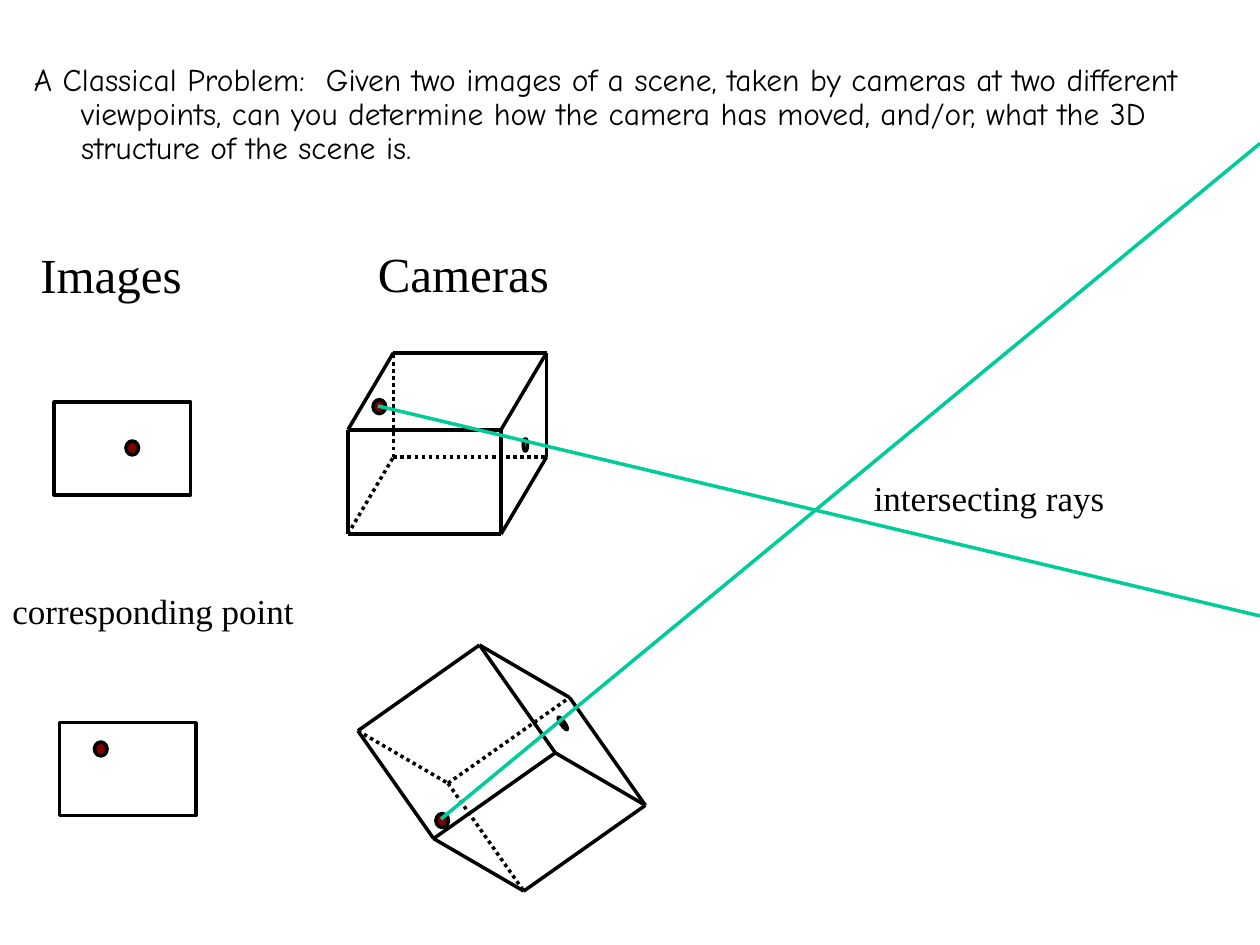
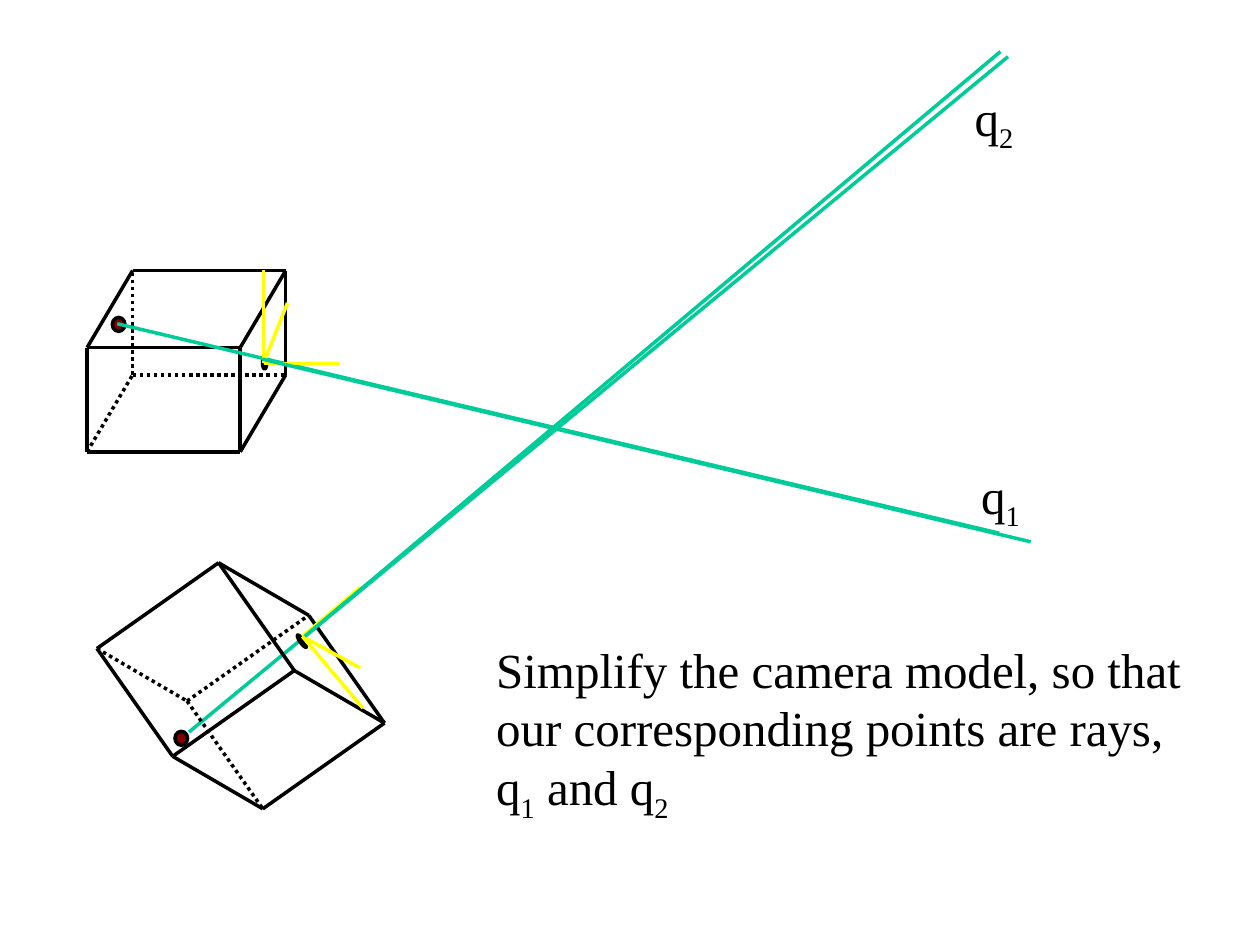
import dataclasses

import pptx
import pptx.dml.color
import pptx.enum.dml
import pptx.enum.shapes
import pptx.enum.text
import pptx.oxml.ns
import pptx.util
from lxml import etree

Pt = pptx.util.Pt
Shape = pptx.enum.shapes.MSO_SHAPE


@dataclasses.dataclass(frozen=True)
class Theme:
    ink: str = "000000"
    paper: str = "FFFFFF"
    point: str = "800000"
    ray: str = "00CC99"
    axis: str = "FFFF00"
    problem_font: str = "Comic Neue"
    font: str = "Times New Roman"
    problem: float = 18
    label: float = 20
    heading: float = 28
    stroke: float = 2


@dataclasses.dataclass(frozen=True)
class Camera:
    corner: tuple
    width: tuple
    depth: tuple
    height: tuple
    pinhole: tuple
    pinhole_angle: float
    point: tuple
    axes_origin: tuple
    axes: tuple

    def vertex(self, i, j, k):
        return tuple(
            c + i * w + j * d + k * h
            for c, w, d, h in zip(self.corner, self.width, self.depth, self.height)
        )


THEME = Theme()
UPRIGHT = Camera(
    corner=(0, 103.2), width=(87.5, 0), depth=(26, -44), height=(0, -59.6),
    pinhole=(100.2, 48.7, 2.4, 7.2), pinhole_angle=0, point=(14.4, 26.4),
    axes_origin=(100.8, 52.6), axes=((0, -53.5), (43, 0), (13.7, -34.5)),
)
TILTED = Camera(
    corner=(0, 49), width=(69.5, -49), depth=(51.5, 30), height=(43.3, 61.6),
    pinhole=(116, 40.5, 2.2, 8.6), pinhole_angle=144.8, point=(44.6, 96.3),
    axes_origin=(117.4, 42.1), axes=((34.6, 41), (33, -28), (33, 18)),
)
HIDDEN_VERTEX = (0, 1, 0)


def rgb(value):
    return pptx.dml.color.RGBColor.from_string(value)


def add_line(shapes, start, end, color=THEME.ink, dotted=False):
    ln = shapes.add_connector(
        pptx.enum.shapes.MSO_CONNECTOR.STRAIGHT, *(Pt(v) for v in (*start, *end))
    )
    ln.line.color.rgb = rgb(color)
    ln.line.width = Pt(THEME.stroke)
    if dotted:
        ln.line.dash_style = pptx.enum.dml.MSO_LINE.ROUND_DOT
    etree.SubElement(ln._element.spPr, pptx.oxml.ns.qn("a:effectLst"))


def add_outline(shapes, kind, box, fill=None):
    sp = shapes.add_shape(kind, *(Pt(v) for v in box))
    sp.shadow.inherit = False
    sp.line.color.rgb = rgb(THEME.ink)
    sp.line.width = Pt(THEME.stroke)
    if fill:
        sp.fill.solid()
        sp.fill.fore_color.rgb = rgb(fill)
    else:
        sp.fill.background()
    return sp


def add_point(shapes, x, y):
    add_outline(shapes, Shape.OVAL, (x, y, 7.2, 8), THEME.point)


def add_text(s, box, paragraphs, size, font=THEME.font, wrap=False, grow=True):
    tf = s.shapes.add_textbox(*(Pt(v) for v in box)).text_frame
    tf.word_wrap = wrap
    if grow:
        tf.auto_size = pptx.enum.text.MSO_AUTO_SIZE.SHAPE_TO_FIT_TEXT
    for n, runs in enumerate(paragraphs):
        p = tf.add_paragraph() if n else tf.paragraphs[0]
        for m, text in enumerate(runs):
            r = p.add_run()
            r.text = text
            r.font.name = font
            r.font.size = Pt(size)
            r.font.color.rgb = rgb(THEME.ink)
            if m % 2:
                r.font._element.set("baseline", "-25000")
    return tf


def add_problem(s, box):
    text = (
        "A Classical Problem:  Given two images of a scene, taken by cameras at "
        "two different viewpoints, can you determine how the camera has moved, "
        "and/or, what the 3D structure of the scene is."
    )
    tf = add_text(s, box, [[text]], THEME.problem, THEME.problem_font, True, False)
    p = tf.paragraphs[0]
    p.line_spacing = 0.9
    p.space_before = Pt(4.5)
    pPr = p._p.get_or_add_pPr()
    pPr.set("marL", str(Pt(27)))
    pPr.set("indent", str(-Pt(27)))


def add_camera(s, camera, x, y):
    shapes = s.shapes.add_group_shape().shapes
    vertices = [(i, j, k) for i in (0, 1) for j in (0, 1) for k in (0, 1)]
    for a in vertices:
        for n in range(3):
            if a[n]:
                continue
            b = a[:n] + (1,) + a[n + 1:]
            start, end = ((x + vx, y + vy) for vx, vy in
                          (camera.vertex(*a), camera.vertex(*b)))
            add_line(shapes, start, end, dotted=HIDDEN_VERTEX in (a, b))
    px, py, w, h = camera.pinhole
    sp = add_outline(shapes, Shape.OVAL, (x + px, y + py, w, h))
    sp.rotation = camera.pinhole_angle
    add_point(shapes, x + camera.point[0], y + camera.point[1])


def add_axes(s, camera, x, y):
    shapes = s.shapes.add_group_shape().shapes
    ox, oy = x + camera.axes_origin[0], y + camera.axes_origin[1]
    for dx, dy in camera.axes:
        add_line(shapes, (ox, oy), (ox + dx, oy + dy), THEME.axis)


def add_image(s, x, y, point):
    add_outline(s.shapes, Shape.RECTANGLE, (x, y, 78, 53), THEME.paper)
    add_point(s.shapes, x + point[0], y + point[1])


def add_rays(s, *rays):
    for start, end in rays:
        add_line(s.shapes, start, end, THEME.ray)


def build_problem_slide(s, x, y):
    add_problem(s, (x + 12.3, y + 33.4, 707.7, 92))
    add_camera(s, UPRIGHT, x + 198.8, y + 202)
    add_camera(s, TILTED, x + 204.5, y + 368.6)
    add_image(s, x + 31, y + 229.8, (41, 22.2))
    add_image(s, x + 34, y + 413, (20, 11))
    add_text(s, (x + 208.8, y + 135.5, 113, 41), [["Cameras"]], THEME.heading)
    add_text(s, (x + 16, y + 136, 95, 41), [["Images"]], THEME.heading)
    add_rays(
        s,
        ((x + 216, y + 232), (x + 720, y + 352)),
        ((x + 252, y + 468), (x + 720, y + 82)),
    )
    add_text(s, (x, y + 333.4, 176, 32), [["corresponding point"]], THEME.label)
    add_text(s, (x + 492.2, y + 268.6, 148, 32), [["intersecting rays"]], THEME.label)


def build_rays_slide(s, x, y):
    upright = (x + 49.8, y + 155)
    tilted = (x + 55.4, y + 321.6)
    add_camera(s, UPRIGHT, *upright)
    add_rays(
        s,
        ((x + 67, y + 185), (x + 571, y + 304.7)),
        ((x + 108, y + 418.3), (x + 576, y + 32.4)),
    )
    add_axes(s, UPRIGHT, *upright)
    add_camera(s, TILTED, *tilted)
    add_axes(s, TILTED, *tilted)
    add_rays(
        s,
        ((x + 174.2, y + 363.6), (x + 571.7, y + 29.5)),
        ((x + 149.8, y + 205.2), (x + 589, y + 309.6)),
    )
    add_text(
        s, (x + 276.5, y + 361.7, 443.5, 113),
        [["Simplify the camera model, so that our corresponding points are rays,"],
         ["q", "1", " and q", "2"]],
        THEME.heading, wrap=True,
    )
    for index, left, top in (("1", 553.6, 262.4), ("2", 549.8, 46.4)):
        add_text(s, (x + left, y + top, 38, 45), [["q", index]], THEME.heading)


def main():
    prs = pptx.Presentation()
    prs.slide_width, prs.slide_height = Pt(720), Pt(540)
    for build in (build_problem_slide, build_rays_slide):
        build(prs.slides.add_slide(prs.slide_layouts[6]), 0, 0)
    prs.save("out.pptx")


if __name__ == "__main__":
    main()
